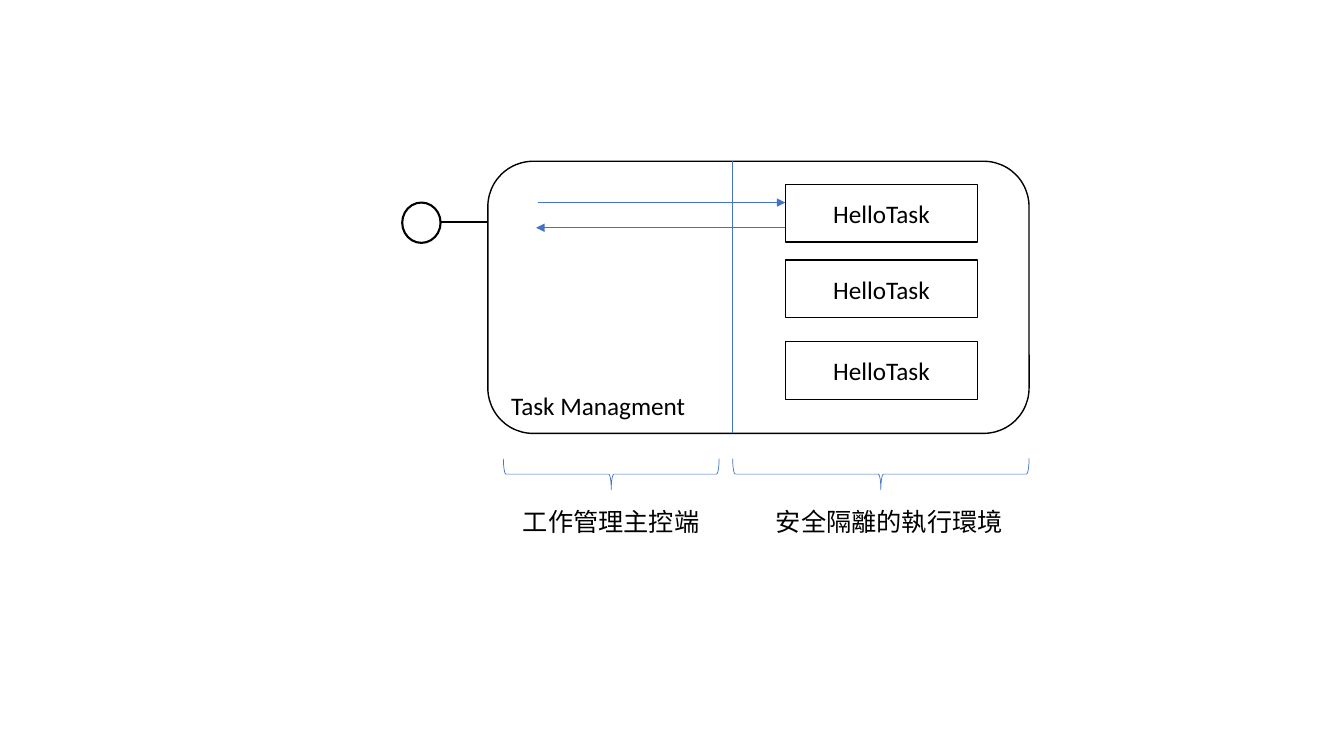
from dataclasses import dataclass

from lxml import etree
from pptx import Presentation
from pptx.dml.color import RGBColor
from pptx.enum.shapes import MSO_CONNECTOR, MSO_SHAPE as SHAPE
from pptx.enum.text import MSO_ANCHOR as ANCHOR, PP_ALIGN as ALIGN
from pptx.oxml.ns import qn
from pptx.util import Pt

COLORS = {"ink": "000000", "paper": "FFFFFF", "accent": "4472C4"}


@dataclass
class Link:
    x1: float
    y1: float
    x2: float
    y2: float
    color: str = "accent"
    width: float = 0.5
    arrow: bool = False


@dataclass
class Zone:
    label: str
    label_x: float
    label_w: float
    brace_x: float
    brace_w: float


# Layout in points
BOX_X, BOX_Y, BOX_W, BOX_H = 348.5, 115.2, 386.6, 194.4
DIVIDER_X = 523.4
TASK_X, TASK_W, TASK_H = 560.9, 137.5, 41.2
TASK_TOPS = (131.8, 185.8, 244.1)
PORT_X, PORT_Y, PORT_W, PORT_H = 287.3, 144.7, 27.4, 28.8
BRACE_Y, BRACE_H = 327.5, 22.3
LABEL_Y, LABEL_H = 357.8, 28.8

LINKS = [
    Link(PORT_X + PORT_W, 158.4, BOX_X, 158.4, "ink", 1.5),
    Link(DIVIDER_X, BOX_Y, DIVIDER_X, BOX_Y + BOX_H),
    Link(384.5, 144.7, TASK_X, 144.7, arrow=True),
    Link(TASK_X, 162.7, 383, 162.7, arrow=True),
]
ZONES = [
    Zone("工作管理主控端", 366.5, 141.8, 359.6, 154.1),
    Zone("安全隔離的執行環境", 547.2, 177.8, DIVIDER_X, 211.7),
]


def rgb(name: str) -> RGBColor:
    return RGBColor.from_string(COLORS[name])


def add_text(s, text: str, align=ALIGN.LEFT, anchor=ANCHOR.MIDDLE) -> None:
    tf = s.text_frame
    tf.vertical_anchor = anchor
    p = tf.paragraphs[0]
    p.alignment = align
    r = p.add_run()
    r.text = text
    r.font.size = Pt(18)
    r.font.name = "Calibri"
    r.font.color.rgb = rgb("ink")


def add_outline(slide, kind, x: float, y: float, w: float, h: float,
                line: str = "ink", width: float = 1, filled: bool = True):
    s = slide.shapes.add_shape(kind, Pt(x), Pt(y), Pt(w), Pt(h))
    s.shadow.inherit = False
    if filled:
        s.fill.solid()
        s.fill.fore_color.rgb = rgb("paper")
    else:
        s.fill.background()
    s.line.color.rgb = rgb(line)
    s.line.width = Pt(width)
    return s


def add_link(slide, link: Link) -> None:
    s = slide.shapes.add_connector(MSO_CONNECTOR.STRAIGHT, Pt(link.x1), Pt(link.y1),
                                   Pt(link.x2), Pt(link.y2))
    s.line.color.rgb = rgb(link.color)
    s.line.width = Pt(link.width)
    sp_pr = s._element.spPr
    if link.arrow:
        etree.SubElement(sp_pr.find(qn("a:ln")), qn("a:tailEnd"), type="triangle")
    etree.SubElement(sp_pr, qn("a:effectLst"))


def add_zone(slide, zone: Zone) -> None:
    # A left brace turned a quarter, so its unrotated frame is tall and narrow
    x = zone.brace_x + (zone.brace_w - BRACE_H) / 2
    y = BRACE_Y + (BRACE_H - zone.brace_w) / 2
    s = add_outline(slide, SHAPE.LEFT_BRACE, x, y, BRACE_H, zone.brace_w,
                    "accent", 0.5, filled=False)
    s.rotation = 270
    s = slide.shapes.add_textbox(Pt(zone.label_x), Pt(LABEL_Y),
                                 Pt(zone.label_w), Pt(LABEL_H))
    s.text_frame.word_wrap = False
    add_text(s, zone.label, anchor=ANCHOR.TOP)


def main() -> None:
    prs = Presentation()
    prs.slide_width, prs.slide_height = Pt(960), Pt(540)
    slide = prs.slides.add_slide(prs.slide_layouts[6])

    # Task manager with its port
    s = add_outline(slide, SHAPE.ROUNDED_RECTANGLE, BOX_X, BOX_Y, BOX_W, BOX_H)
    s.text_frame.margin_bottom = Pt(0)
    add_text(s, "Task Managment", anchor=ANCHOR.BOTTOM)
    add_outline(slide, SHAPE.OVAL, PORT_X, PORT_Y, PORT_W, PORT_H, width=1.5)

    # Isolated tasks
    for top in TASK_TOPS:
        s = add_outline(slide, SHAPE.RECTANGLE, TASK_X, top, TASK_W, TASK_H)
        add_text(s, "HelloTask", ALIGN.CENTER)

    # Divider, port line and calls
    for link in LINKS:
        add_link(slide, link)

    # Braces and zone labels
    for zone in ZONES:
        add_zone(slide, zone)

    prs.save("out.pptx")


if __name__ == "__main__":
    main()
